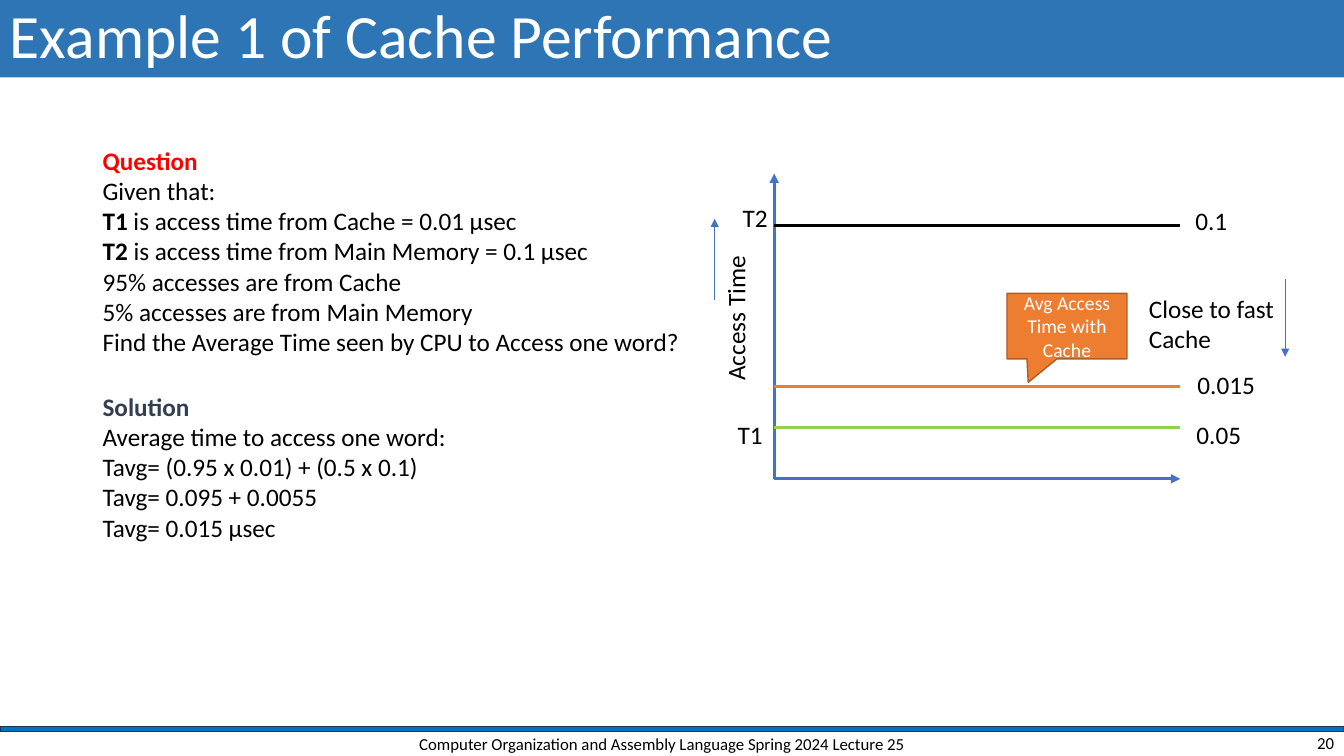
from lxml.etree import SubElement
from pptx import Presentation
from pptx.dml.color import RGBColor
from pptx.enum.shapes import MSO_CONNECTOR as Connector, MSO_SHAPE as Preset
from pptx.enum.text import MSO_ANCHOR as Anchor, MSO_AUTO_SIZE as AutoSize, PP_ALIGN as Align
from pptx.oxml.ns import qn
from pptx.util import Pt

BLACK = RGBColor(0, 0, 0)
WHITE = RGBColor(255, 255, 255)
RED = RGBColor(255, 0, 0)
SLATE = RGBColor(0x33, 0x3F, 0x50)
TITLE_BLUE = RGBColor(0x2E, 0x75, 0xB6)
RULE_BLUE = RGBColor(0x00, 0x70, 0xC0)
RULE_EDGE = RGBColor(0x1E, 0x32, 0x56)
AXIS_BLUE = RGBColor(0x44, 0x72, 0xC4)
GREEN = RGBColor(0x92, 0xD0, 0x50)
ORANGE = RGBColor(0xED, 0x7D, 0x31)
ORANGE_EDGE = RGBColor(0xAF, 0x5C, 0x24)

PAGE_WIDTH, PAGE_HEIGHT = 960, 540
AXIS_LEFT, AXIS_RIGHT, AXIS_TOP, AXIS_BOTTOM = 553, 843, 124, 342

QUESTION = [
    [("Question", {"bold": True, "color": RED})],
    "Given that:",
    [("T1", {"bold": True}), (" is access time from Cache = 0.01 μsec", {})],
    [("T2 ", {"bold": True}), ("is access time from Main Memory = 0.1 μsec", {})],
    "95% accesses are from Cache",
    "5% accesses are from Main Memory",
    "Find the Average Time seen by CPU to Access one word?",
]
SOLUTION = [
    [("Solution", {"bold": True, "color": SLATE})],
    "Average time to access one word:",
    "Tavg= (0.95 x 0.01) + (0.5 x 0.1)",
    "Tavg= 0.095 + 0.0055",
    "Tavg= 0.015 μsec",
]
LABELS = [
    (519.8, 296, 32.4, ["T1"]),
    (523.4, 141, 32.4, ["T2"]),
    (847.5, 296, 46.8, ["0.05"]),
    (846.7, 143.3, 37.4, ["0.1"]),
    (848.2, 260, 56.2, ["0.015"]),
    (813.6, 206, 105, ["Close to fast", "Cache"]),
]
LEVELS = [(305.3, GREEN), (161.3, BLACK), (275.8, ORANGE)]


def write(shape, paras, size=18, color=BLACK, align=Align.LEFT, spacing=1.0):
    """Fill a shape with paragraphs of plain text or of formatted spans."""
    frame = shape.text_frame
    for index, content in enumerate(paras):
        para = frame.paragraphs[0] if index == 0 else frame.add_paragraph()
        para.alignment, para.line_spacing = align, spacing
        spans = [(content, {})] if isinstance(content, str) else content
        for text, changes in spans:
            span = para.add_run()
            span.text = text
            values = {"name": "Calibri", "size": Pt(size), "bold": False, **changes}
            span.font.color.rgb = values.pop("color", color)
            for name, value in values.items():
                setattr(span.font, name, value)


def add_label(page, left, top, width, paras, rotation=0):
    """Add an unwrapped text box that grows with its text."""
    height = 7.2 + 21.6 * len(paras)
    box = page.shapes.add_textbox(Pt(left), Pt(top), Pt(width), Pt(height))
    box.rotation = rotation
    box.text_frame.word_wrap = False
    box.text_frame.auto_size = AutoSize.SHAPE_TO_FIT_TEXT
    write(box, paras)


def add_footer(page, left, width, height, text, align):
    """Add a small text box along the bottom of the page."""
    box = page.shapes.add_textbox(Pt(left), Pt(521.3), Pt(width), Pt(height))
    box.text_frame.word_wrap = True
    box.text_frame.vertical_anchor = Anchor.MIDDLE
    write(box, [text], size=12, align=align)


def add_block(page, preset, left, top, width, height, fill, edge=None):
    """Add a filled preset shape, outlined only when an edge colour is given."""
    block = page.shapes.add_shape(preset, Pt(left), Pt(top), Pt(width), Pt(height))
    block.shadow.inherit = False
    block.fill.solid()
    block.fill.fore_color.rgb = fill
    if edge is None:
        block.line.fill.background()
    else:
        block.line.color.rgb = edge
        block.line.width = Pt(1)
    block.text_frame.word_wrap = True
    block.text_frame.vertical_anchor = Anchor.MIDDLE
    return block


def add_line(page, start, end, color, width=2.25, arrow=False):
    """Add a straight line, with an arrowhead at its end if wanted."""
    line = page.shapes.add_connector(Connector.STRAIGHT, *map(Pt, start + end))
    line.line.color.rgb = color
    line.line.width = Pt(width)
    if arrow:
        SubElement(line.line._get_or_add_ln(), qn("a:tailEnd"), type="triangle")
    SubElement(line._element.spPr, qn("a:effectLst"))


def add_graph(page):
    """Draw the axes, the access time levels and their labels."""
    origin = (AXIS_LEFT, AXIS_BOTTOM)
    for end in [(AXIS_LEFT, AXIS_TOP), (AXIS_RIGHT, AXIS_BOTTOM)]:
        add_line(page, origin, end, AXIS_BLUE, arrow=True)
    for height, color in LEVELS:
        add_line(page, (AXIS_LEFT, height), (AXIS_RIGHT, height), color)
    for left, start, end in [(510.5, 214.5, 156.2), (918, 199.4, 254.9)]:
        add_line(page, (left, start), (left, end), AXIS_BLUE, 0.5, True)
    add_label(page, 473, 212.4, 104.4, ["Access Time"], rotation=270)
    for label in LABELS:
        add_label(page, *label)
    callout = add_block(page, Preset.RECTANGULAR_CALLOUT, 719.3, 209.5, 85.7, 46.8,
                        ORANGE, ORANGE_EDGE)
    callout.adjustments[0], callout.adjustments[1] = -0.323, 0.859
    write(callout, ["Avg Access Time with Cache"], 14, WHITE, Align.CENTER)


def main():
    """Build the cache performance slide and save it."""
    deck = Presentation()
    deck.slide_width, deck.slide_height = Pt(PAGE_WIDTH), Pt(PAGE_HEIGHT)
    page = deck.slides.add_slide(deck.slide_layouts[6])
    add_block(page, Preset.RECTANGLE, 0, 519.1, PAGE_WIDTH, 3.6, RULE_BLUE, RULE_EDGE)
    title = add_block(page, Preset.RECTANGLE, 0, 0, PAGE_WIDTH, 55.4, TITLE_BLUE)
    write(title, ["Example 1 of Cache Performance"], 44, WHITE, spacing=0.9)
    add_footer(page, 282.2, 381.6, 20.2,
               "Computer Organization and Assembly Language Spring 2024 Lecture 25",
               Align.CENTER)
    add_footer(page, 744, 216, 18, "20", Align.RIGHT)
    add_label(page, 66.2, 100, 431.3, QUESTION)
    add_label(page, 66.2, 275.8, 267.1, SOLUTION)
    add_graph(page)
    deck.save("out.pptx")


if __name__ == "__main__":
    main()
